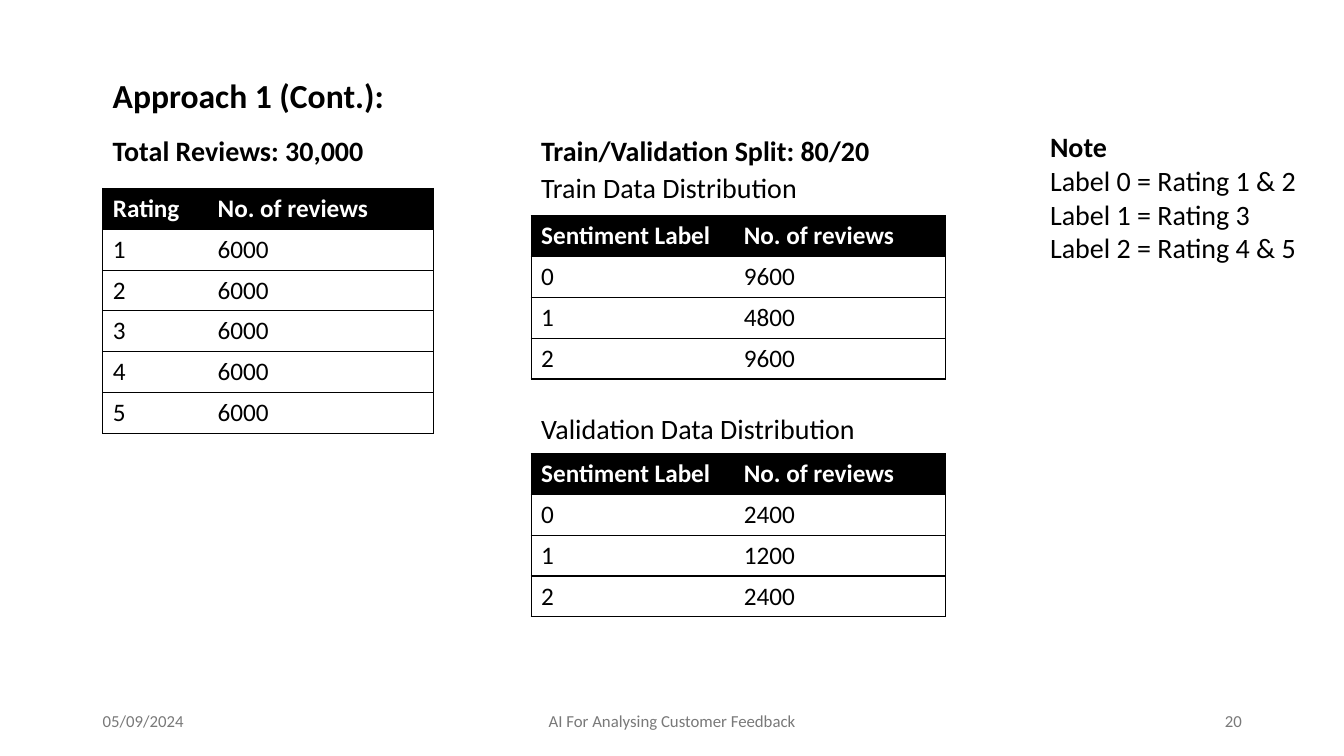
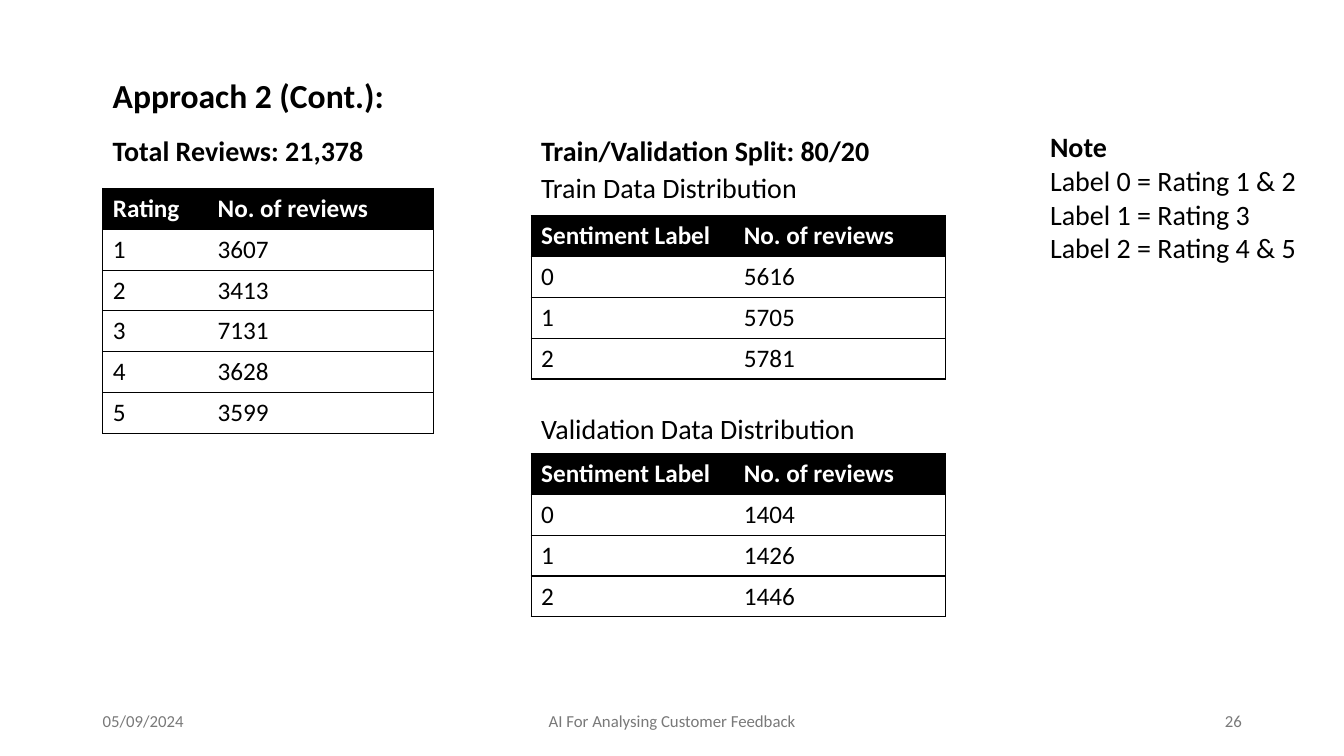
from pptx import Presentation
from pptx.dml.color import RGBColor
from pptx.enum.text import MSO_ANCHOR as Anchor, MSO_AUTO_SIZE as AutoSize, PP_ALIGN as Align
from pptx.oxml.ns import qn
from pptx.util import Emu, Pt
from lxml.etree import SubElement

APPROACHES = [
    {"title": "Approach 1 (Cont.):", "total": "30,000", "page": "20",
     "ratings": [6000, 6000, 6000, 6000, 6000],
     "train": [9600, 4800, 9600], "validation": [2400, 1200, 2400]},
    {"title": "Approach 2 (Cont.):", "total": "21,378", "page": "26",
     "ratings": [3607, 3413, 7131, 3628, 3599],
     "train": [5616, 5705, 5781], "validation": [1404, 1426, 1446]},
]
SPLIT = "Train/Validation Split: 80/20"
NOTE = ["Note", "Label 0 = Rating 1 & 2", "Label 1 = Rating 3", "Label 2 = Rating 4 & 5"]
RATING_HEADER = ["Rating", "No. of reviews"]
LABEL_HEADER = ["Sentiment Label", "No. of reviews"]
DATE, TOPIC = "05/09/2024", "AI For Analysing Customer Feedback"

FONT = "Calibri"
BLACK, WHITE, GREY = "000000", "FFFFFF", "797979"
TITLE_SIZE, HEADING_SIZE, TABLE_SIZE, FOOTER_SIZE = 24, 20, 18, 12

PX = 4572  # 200 px to the inch
SLIDE_W, SLIDE_H = 2667, 1500
LEFT_X, MIDDLE_X, NOTE_X = 204, 1054, 2064
HEADING_W, HEADING_H = 732, 88
HEADING_Y = 256
ROW_H = 81
RATING_COLS, LABEL_COLS = [208, 449], [402, 420]
FOOTER_Y, FOOTER_H = 1390, 80


def px(length):
    return Emu(length * PX)


def rgb(color):
    return RGBColor.from_string(color)


def style(paragraph, size, color=BLACK, bold=False):
    font = paragraph.font
    font.name, font.size, font.bold = FONT, Pt(size), bold
    font.color.rgb = rgb(color)


def add_text(slide, box, lines, size, color=BLACK, bold_lines=0, align=Align.LEFT):
    """Add a text box whose first bold_lines paragraphs are bold."""
    frame = slide.shapes.add_textbox(*map(px, box)).text_frame
    frame.word_wrap = True
    frame.text = "\n".join(lines)
    for index, paragraph in enumerate(frame.paragraphs):
        paragraph.alignment = align
        style(paragraph, size, color, index < bold_lines)
    return frame


def add_heading(slide, x, y, text, size=HEADING_SIZE, bold=True):
    frame = add_text(slide, (x, y, HEADING_W, HEADING_H), [text], size, bold_lines=int(bold))
    frame.auto_size = AutoSize.SHAPE_TO_FIT_TEXT


def set_borders(cell, first, last):
    """Rule every row; close the sides only at the table's outer edges."""
    properties = cell._tc.get_or_add_tcPr()
    for side, ruled in (("L", first), ("R", last), ("T", True), ("B", True)):
        line = SubElement(properties, qn(f"a:ln{side}"), w=str(Pt(1)))
        if ruled:
            SubElement(SubElement(line, qn("a:solidFill")), qn("a:srgbClr"), val=BLACK)
        else:
            SubElement(line, qn("a:noFill"))


def add_counts(slide, x, y, widths, header, first_label, counts):
    """Add a table of consecutive labels and their review counts."""
    rows = [header] + [[str(label), str(count)] for label, count in enumerate(counts, first_label)]
    table = slide.shapes.add_table(len(rows), len(widths), px(x), px(y),
                                   px(sum(widths)), px(ROW_H * len(rows))).table
    table.horz_banding = False
    for column, width in zip(table.columns, widths):
        column.width = px(width)
    for r, values in enumerate(rows):
        table.rows[r].height = px(ROW_H)
        is_header = r == 0
        for c, value in enumerate(values):
            cell = table.cell(r, c)
            set_borders(cell, c == 0, c == len(widths) - 1)
            cell.fill.solid()
            cell.fill.fore_color.rgb = rgb(BLACK if is_header else WHITE)
            cell.text = value
            style(cell.text_frame.paragraphs[0], TABLE_SIZE,
                  WHITE if is_header else BLACK, is_header)


def add_footer(slide, page):
    for x, width, text, align in ((184, 600, DATE, Align.LEFT),
                                  (884, 900, TOPIC, Align.CENTER),
                                  (1884, 600, page, Align.RIGHT)):
        frame = add_text(slide, (x, FOOTER_Y, width, FOOTER_H), [text],
                         FOOTER_SIZE, GREY, align=align)
        frame.vertical_anchor = Anchor.MIDDLE


def add_approach(deck, approach):
    slide = deck.slides.add_slide(deck.slide_layouts[6])
    add_heading(slide, LEFT_X, 138, approach["title"], TITLE_SIZE)

    add_heading(slide, LEFT_X, HEADING_Y, f"Total Reviews: {approach['total']}")
    add_counts(slide, LEFT_X, 374, RATING_COLS, RATING_HEADER, 1, approach["ratings"])

    add_heading(slide, MIDDLE_X, HEADING_Y, SPLIT)
    for part, heading_y, table_y in (("train", 328, 428), ("validation", 806, 900)):
        add_heading(slide, MIDDLE_X, heading_y, f"{part.title()} Data Distribution", bold=False)
        add_counts(slide, MIDDLE_X, table_y, LABEL_COLS, LABEL_HEADER, 0, approach[part])

    note = add_text(slide, (NOTE_X, 248, 542, 290), NOTE, HEADING_SIZE, bold_lines=1)
    note.auto_size = AutoSize.SHAPE_TO_FIT_TEXT
    add_footer(slide, approach["page"])


def main():
    deck = Presentation()
    deck.slide_width, deck.slide_height = px(SLIDE_W), px(SLIDE_H)
    for approach in APPROACHES:
        add_approach(deck, approach)
    deck.save("out.pptx")


if __name__ == "__main__":
    main()
